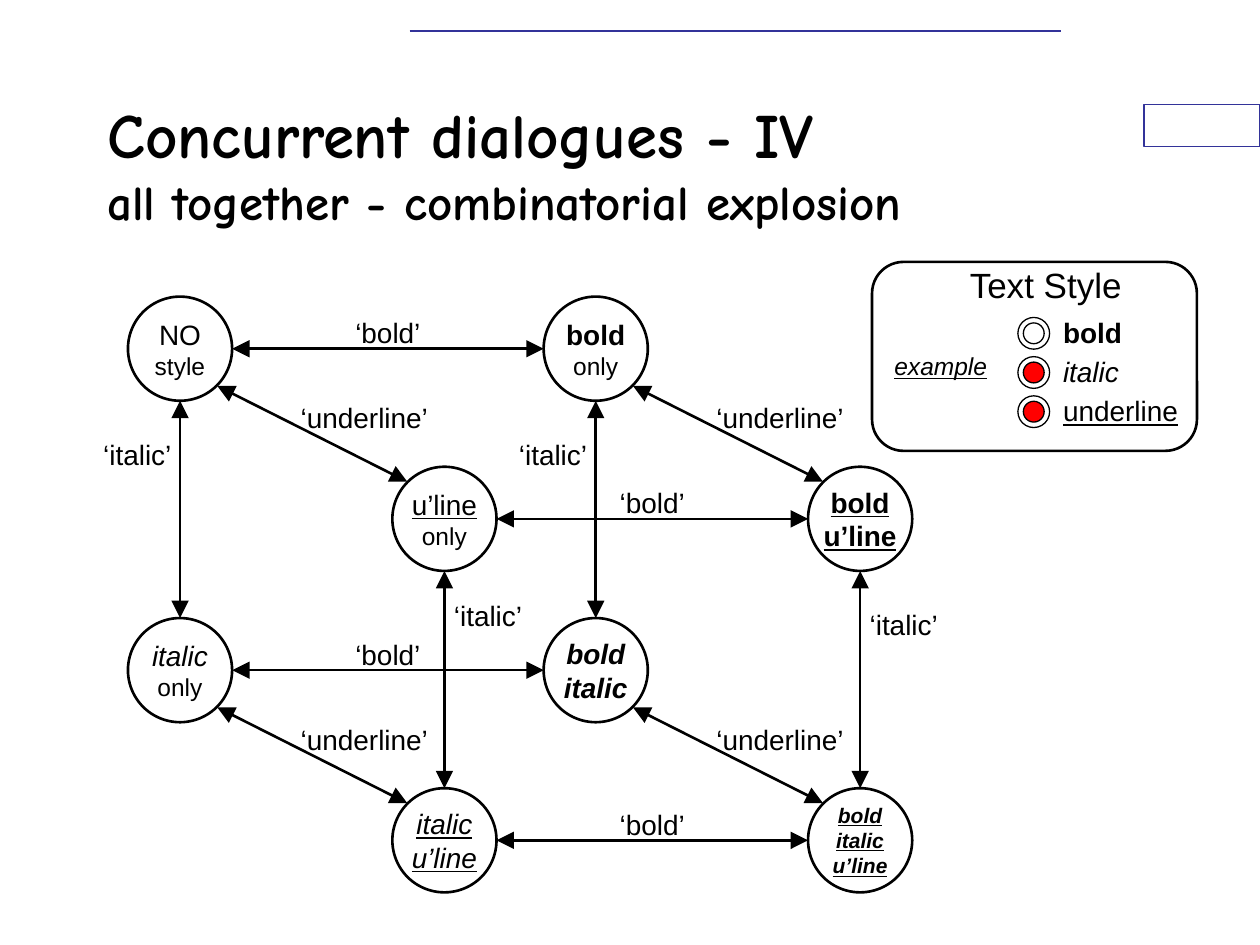
"""Build the slide on concurrent dialogues with its text style state diagram."""
from itertools import product

from lxml.etree import SubElement
from pptx import Presentation
from pptx.dml.color import RGBColor
from pptx.enum.shapes import MSO_CONNECTOR, MSO_SHAPE
from pptx.enum.text import MSO_ANCHOR, MSO_AUTO_SIZE, PP_ALIGN
from pptx.oxml.ns import qn
from pptx.util import Cm, Pt

BLACK = RGBColor(0x00, 0x00, 0x00)
WHITE = RGBColor(0xFF, 0xFF, 0xFF)
RED = RGBColor(0xFF, 0x00, 0x00)
NAVY = RGBColor(0x33, 0x33, 0x99)

STYLES = ("bold", "italic", "underline")
STATE_NAMES = ("bold", "italic", "u’line")
RADIUS = 1.05
DIAGONAL = 0.75


def write(paragraph, text, size=16, font="Arial", bold=False, italic=False, underline=False):
    run = paragraph.add_run()
    run.text = text
    run.font.size = Pt(size)
    run.font.name = font
    run.font.bold = bold
    run.font.italic = italic
    run.font.underline = underline
    run.font.color.rgb = BLACK


class DiagramSlide:
    def __init__(self, slide, line_width=1.5):
        self.slide = slide
        self.line_width = line_width

    def title(self, heading, subheading):
        title = self.slide.shapes.title
        title.left, title.top, title.width, title.height = Cm(1.91), Cm(1.7), Cm(19.05), Cm(3.18)
        frame = title.text_frame
        frame.auto_size = MSO_AUTO_SIZE.NONE
        frame.vertical_anchor = MSO_ANCHOR.MIDDLE
        paragraph = frame.paragraphs[0]
        paragraph.alignment = PP_ALIGN.LEFT
        write(paragraph, heading, size=36, font="Comic Neue", bold=True)
        paragraph.add_line_break()
        write(paragraph, subheading, size=28, font="Comic Neue", bold=True)

    def outline(self, kind, left, top, width, height, fill=WHITE, color=BLACK, weight=None):
        shape = self.slide.shapes.add_shape(kind, Cm(left), Cm(top), Cm(width), Cm(height))
        shape.shadow.inherit = False
        shape.fill.solid()
        shape.fill.fore_color.rgb = fill
        shape.line.color.rgb = color
        shape.line.width = Pt(weight or self.line_width)
        return shape

    def circle(self, x, y, radius, **look):
        return self.outline(MSO_SHAPE.OVAL, x - radius, y - radius, 2 * radius, 2 * radius, **look)

    def state(self, x, y, lines):
        frame = self.circle(x, y, RADIUS).text_frame
        frame.word_wrap = False
        frame.vertical_anchor = MSO_ANCHOR.MIDDLE
        for index, (text, style) in enumerate(lines):
            paragraph = frame.add_paragraph() if index else frame.paragraphs[0]
            paragraph.alignment = PP_ALIGN.CENTER
            write(paragraph, text, **style)

    def label(self, text, left, middle, width, height=0.94, align=PP_ALIGN.LEFT, **style):
        box = self.slide.shapes.add_textbox(
            Cm(left), Cm(middle - height / 2), Cm(width), Cm(height))
        frame = box.text_frame
        frame.word_wrap = False
        frame.auto_size = MSO_AUTO_SIZE.SHAPE_TO_FIT_TEXT
        frame.paragraphs[0].alignment = align
        write(frame.paragraphs[0], text, **style)

    def line(self, start, end, color=BLACK, weight=None, arrows=False):
        connector = self.slide.shapes.add_connector(
            MSO_CONNECTOR.STRAIGHT, *(Cm(value) for value in (*start, *end)))
        connector.line.color.rgb = color
        connector.line.width = Pt(weight or self.line_width)
        properties = connector._element.spPr
        if arrows:
            for tip in ("a:headEnd", "a:tailEnd"):
                SubElement(properties.find(qn("a:ln")), qn(tip), type="triangle", w="lg", len="lg")
        SubElement(properties, qn("a:effectLst"))


def state_center(bold, italic, underline):
    return 3.63 + 8.38 * bold + 5.33 * underline, 7.03 + 6.48 * italic + 3.43 * underline


def state_lines(flags):
    names = [name for name, active in zip(STATE_NAMES, flags) if active]
    style = dict(zip(STYLES, map(bool, flags)))
    if not names:
        return [("NO", {}), ("style", {"size": 14})]
    if len(names) == 1:
        return [(names[0], style), ("only", {"size": 14})]
    size = 12 if len(names) == 3 else 16
    return [(name, {"size": size, **style}) for name in names]


def draw_transition(diagram, flags, axis):
    target = tuple(flag or index == axis for index, flag in enumerate(flags))
    (x1, y1), (x2, y2) = state_center(*flags), state_center(*target)
    gap_x, gap_y = ((RADIUS, 0), (0, RADIUS), (DIAGONAL, DIAGONAL))[axis]
    diagram.line((x1 + gap_x, y1 + gap_y), (x2 - gap_x, y2 - gap_y), arrows=True)

    italic_side = 0.88 if flags[2] else -0.86
    italic_rise = -1.28 if flags == (0, 0, 1) else -1.1
    shift_x, shift_y = ((0, -0.32), (italic_side, italic_rise), (1.05, -0.32))[axis]
    width = (1.9, 1.95, 3.15)[axis]
    diagram.label(f"‘{STYLES[axis]}’", (x1 + x2) / 2 + shift_x - width / 2,
                  (y1 + y2) / 2 + shift_y, width, align=PP_ALIGN.CENTER)


def draw_style_panel(diagram):
    diagram.outline(MSO_SHAPE.ROUNDED_RECTANGLE, 17.58, 5.28, 6.55, 3.81)
    diagram.label("Text Style", 19.3, 5.74, 3.66, height=1.12, size=20)
    for row, (style, width) in enumerate(zip(STYLES, (1.8, 1.75, 2.92))):
        middle = 6.72 + 0.79 * row
        diagram.circle(20.84, middle, 0.32, weight=0.75)
        diagram.circle(20.84, middle, 0.21, weight=0.75, fill=RED if row else WHITE)
        diagram.label(style, 21.18, middle - 0.02, width, **{style: True})
    diagram.label("example", 17.78, 7.39, 2.55, height=0.86, size=14, italic=True, underline=True)


def main():
    presentation = Presentation()
    presentation.slide_width, presentation.slide_height = Cm(25.4), Cm(19.05)
    diagram = DiagramSlide(presentation.slides.add_slide(presentation.slide_layouts[5]))
    diagram.outline(MSO_SHAPE.RECTANGLE, 23.06, 2.11, 2.34, 0.84, color=NAVY, weight=0.75)
    diagram.line((8.26, 0.63), (21.38, 0.63), color=NAVY, weight=1)
    diagram.title("Concurrent dialogues - IV", "all together - combinatorial explosion")
    for flags in product((0, 1), repeat=3):
        diagram.state(*state_center(*flags), state_lines(flags))
        for axis, active in enumerate(flags):
            if not active:
                draw_transition(diagram, flags, axis)
    draw_style_panel(diagram)
    presentation.save("out.pptx")


if __name__ == "__main__":
    main()
